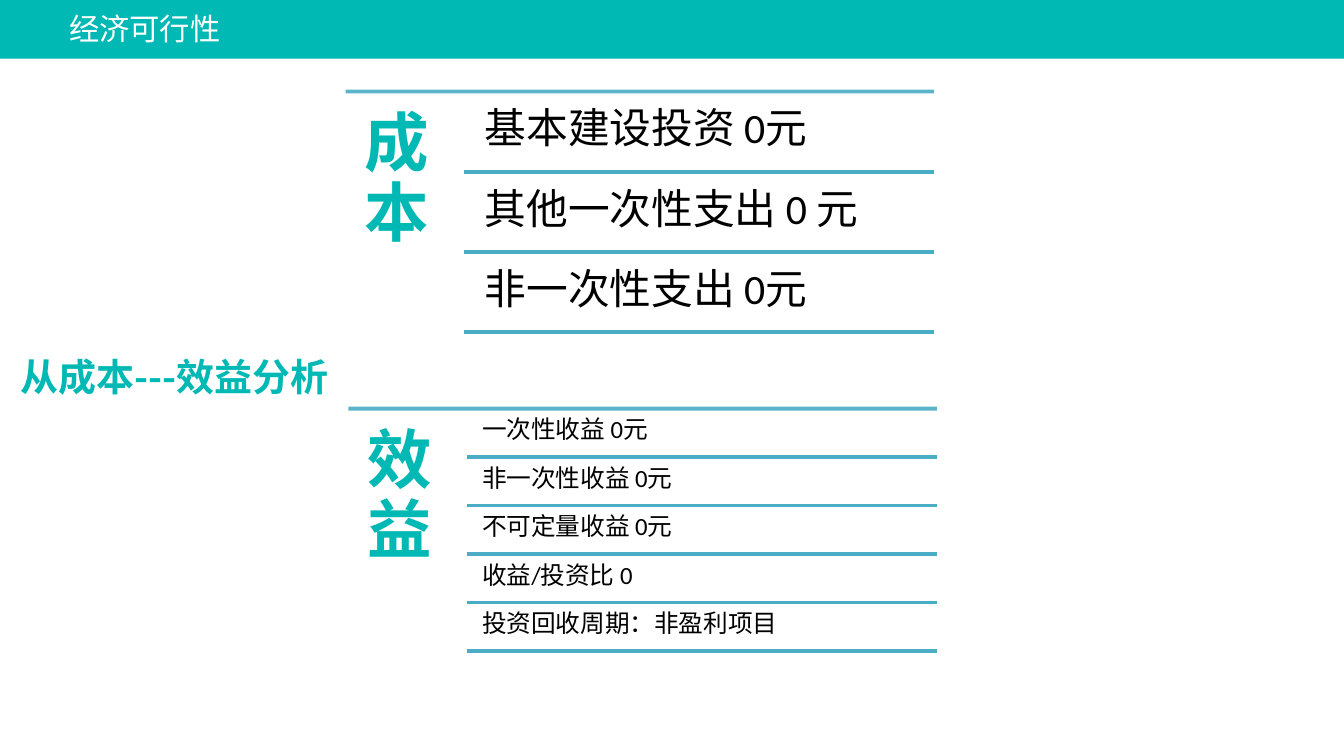
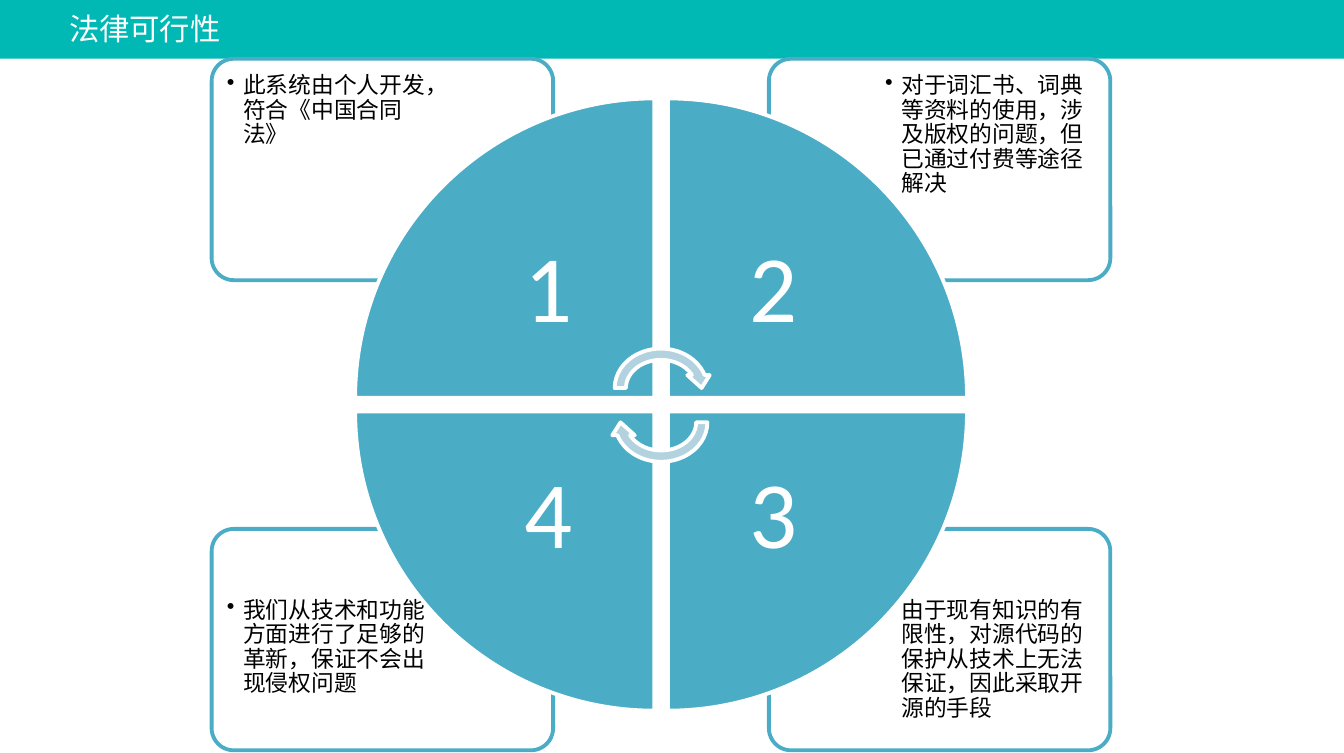
import pptx
import pptx.util
import pptx.dml.color
import pptx.enum.shapes
import pptx.enum.text
import pptx.oxml.ns
from dataclasses import dataclass
from lxml import etree

Inches = pptx.util.Inches
Pt = pptx.util.Pt
qn = pptx.oxml.ns.qn
Shape = pptx.enum.shapes.MSO_SHAPE
Align = pptx.enum.text.PP_ALIGN
Anchor = pptx.enum.text.MSO_ANCHOR


@dataclass(frozen=True)
class Theme:
    teal: str = "00B8B4"
    blue: str = "4BACC6"
    pale_blue: str = "B2D2DF"
    white: str = "FFFFFF"
    black: str = "000000"
    latin: str = "Calibri"
    chinese: str = "Noto Sans CJK SC"
    title_size: int = 16
    caption_size: int = 20
    heading_size: int = 34
    number_size: int = 50
    note_size: int = 12
    line_width: int = 2


THEME = Theme()
SLIDE_W, SLIDE_H = 9.84, 5.51
BAND_H = 0.43

# Content
COST_BENEFIT_TITLE = "经济可行性"
COST_BENEFIT_CAPTION = "从成本---效益分析"
LEDGERS = [
    {"heading": "成本", "left": 2.53, "top": 0.67, "size": 22, "inset": 0.09,
     "items": ["基本建设投资 0元", "其他一次性支出 0 元", "非一次性支出 0元"]},
    {"heading": "效益", "left": 2.55, "top": 2.99, "size": 13, "inset": 0.05,
     "items": ["一次性收益 0元", "非一次性收益 0元", "不可定量收益 0元",
               "收益/投资比 0", "投资回收周期：非盈利项目"]},
]

LEGAL_TITLE = "法律可行性"
# Clockwise from top left: text, horizontal side, vertical side
LEGAL_POINTS = [
    ("此系统由个人开发，符合《中国合同法》", -1, -1),
    ("对于词汇书、词典等资料的使用，涉及版权的问题，但已通过付费等途径解决", 1, -1),
    ("由于现有知识的有限性，对源代码的保护从技术上无法保证，因此采取开源的手段", 1, 1),
    ("我们从技术和功能方面进行了足够的革新，保证不会出现侵权问题", -1, 1),
]


# Shared helpers
def rgb(colour):
    return pptx.dml.color.RGBColor.from_string(colour)


def box(*lengths):
    return [Inches(length) for length in lengths]


def set_alpha(colour_format_parent, percent):
    for colour in colour_format_parent.iter(qn("a:srgbClr")):
        etree.SubElement(colour, qn("a:alpha")).set("val", str(percent * 1000))


def write(holder, text, size, colour, latin=THEME.latin, bold=False, inset=0.0,
          align=Align.LEFT, anchor=Anchor.TOP, spacing=0.9):
    frame = holder.text_frame
    frame.text = text
    frame.word_wrap = True
    frame.auto_size = pptx.enum.text.MSO_AUTO_SIZE.NONE
    frame.vertical_anchor = anchor
    frame.margin_left = frame.margin_right = Inches(inset)
    frame.margin_top = frame.margin_bottom = Inches(inset)
    paragraph = frame.paragraphs[0]
    paragraph.alignment, paragraph.line_spacing = align, spacing
    for run in paragraph.runs:
        font = run.font
        font.size, font.bold, font.name = Pt(size), bold, latin
        font.color.rgb = rgb(colour)
        east_asian = etree.SubElement(font._element, qn("a:ea"))
        east_asian.set("typeface", THEME.chinese)
    return paragraph


def add_text(slide, place, text, size, colour, **style):
    return write(slide.shapes.add_textbox(*box(*place)), text, size, colour, **style)


def add_bullet(paragraph, indent):
    properties = paragraph._p.get_or_add_pPr()
    properties.set("marL", str(Inches(indent)))
    properties.set("indent", str(-Inches(indent)))
    etree.SubElement(properties, qn("a:buChar")).set("char", "•")


def add_shape(slide, preset, place, fill, line=None, rotation=0):
    shape = slide.shapes.add_shape(preset, *box(*place))
    shape.shadow.inherit = False
    shape.rotation = rotation
    shape.fill.solid()
    shape.fill.fore_color.rgb = rgb(fill)
    if line:
        shape.line.color.rgb = rgb(line)
        shape.line.width = Pt(THEME.line_width)
    else:
        shape.line.fill.background()
    return shape


def add_rule(slide, left, right, y):
    rule = slide.shapes.add_connector(
        pptx.enum.shapes.MSO_CONNECTOR.STRAIGHT, *box(left, y, right, y))
    rule.line.color.rgb = rgb(THEME.blue)
    rule.line.width = Pt(THEME.line_width)
    etree.SubElement(rule._element.spPr, qn("a:effectLst"))
    return rule


def add_titled_slide(deck, title):
    slide = deck.slides.add_slide(deck.slide_layouts.get_by_name("Title Only"))
    band = add_shape(slide, Shape.RECTANGLE, (0, 0, SLIDE_W, BAND_H), THEME.teal)
    slide.shapes._spTree.insert(2, band._element)  # behind the title
    heading = slide.shapes.title
    heading.left, heading.top, heading.width, heading.height = box(0, 0.02, 2.12, 0.47)
    write(heading, title, THEME.title_size, THEME.white, latin=THEME.chinese,
          align=Align.CENTER, spacing=1.2)
    return slide


# Slide 1: ruled lists of costs and benefits
def add_ledger(slide, ledger):
    height, gap_share = 1.79, 0.05
    left, top, items = ledger["left"], ledger["top"], ledger["items"]
    right = left + 4.31
    row_h = height / (len(items) + gap_share * (len(items) + 1))
    gap = row_h * gap_share
    top_rule = add_rule(slide, left, right, top)
    set_alpha(top_rule._element.spPr, 90)
    add_text(slide, (left, top, 0.86, height), ledger["heading"], THEME.heading_size,
             THEME.teal, latin=THEME.chinese, bold=True, inset=0.14)
    for index, item in enumerate(items):
        row_top = top + gap + index * (row_h + gap)
        add_text(slide, (left + 0.93, row_top, 3.38, row_h), item, ledger["size"],
                 THEME.black, inset=ledger["inset"])
        add_rule(slide, left + 0.87, right, row_top + row_h)


def build_cost_benefit(deck):
    slide = add_titled_slide(deck, COST_BENEFIT_TITLE)
    add_text(slide, (0.02, 2.52, 2.52, 0.47), COST_BENEFIT_CAPTION, THEME.caption_size,
             THEME.teal, latin=THEME.chinese, bold=True, align=Align.CENTER, spacing=1.2)
    for ledger in LEDGERS:
        add_ledger(slide, ledger)


# Slide 2: four quadrants around a centre
CENTRE_X, CENTRE_Y = 4.84, 2.96


def quadrant(side_x, side_y, away_x, away_y, width, height):
    """Place a box at a distance from the centre, mirrored by side."""
    left = CENTRE_X + (away_x if side_x > 0 else -away_x - width)
    top = CENTRE_Y + (away_y if side_y > 0 else -away_y - height)
    return left, top, width, height


def build_legal(deck):
    slide = add_titled_slide(deck, LEGAL_TITLE)
    for text, *sides in reversed(LEGAL_POINTS):
        card = add_shape(slide, Shape.ROUNDED_RECTANGLE,
                         quadrant(*sides, 0.79, 0.91, 2.5, 1.62), THEME.white, THEME.blue)
        card.adjustments[0] = 0.1
        set_alpha(card.fill._xPr.find(qn("a:solidFill")), 90)
        note = add_text(slide, quadrant(*sides, 1.57, 1.35, 1.68, 1.14), text,
                        THEME.note_size, THEME.black, inset=0.07)
        add_bullet(note, 0.12)
    for index, (_, *sides) in enumerate(LEGAL_POINTS):
        add_shape(slide, Shape.PIE_WEDGE, quadrant(*sides, 0.05, 0.05, 2.19, 2.19),
                  THEME.blue, THEME.white, rotation=90 * index)
        add_text(slide, quadrant(*sides, 0.05, 0.05, 1.55, 1.55), str(index + 1),
                 THEME.number_size, THEME.white, inset=0.39,
                 align=Align.CENTER, anchor=Anchor.MIDDLE)
    for top, rotation in ((2.51, 0), (2.76, 180)):
        add_shape(slide, Shape.CIRCULAR_ARROW, (CENTRE_X - 0.38, top, 0.76, 0.66),
                  THEME.pale_blue, THEME.white, rotation)


def main():
    deck = pptx.Presentation()
    deck.slide_width, deck.slide_height = box(SLIDE_W, SLIDE_H)
    build_cost_benefit(deck)
    build_legal(deck)
    deck.save("out.pptx")


if __name__ == "__main__":
    main()
